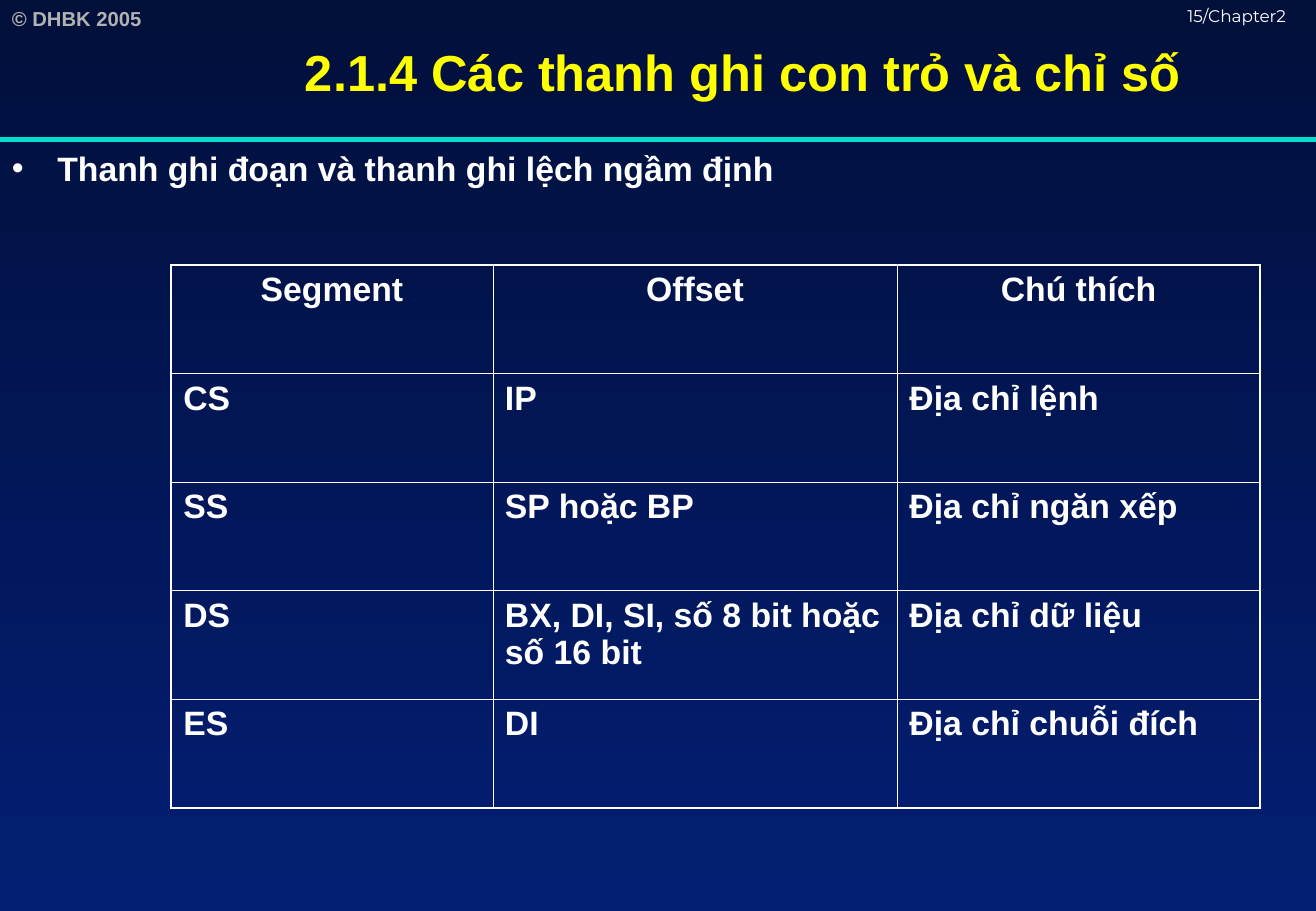
from dataclasses import dataclass

from lxml import etree
from pptx import Presentation
from pptx import util as u
from pptx.dml import color
from pptx.enum import shapes, text
from pptx.oxml import ns

Cm, Pt = u.Cm, u.Pt
ALIGN = text.PP_ALIGN


@dataclass(frozen=True)
class Theme:
    sky_top: str = "010F3B"
    sky_bottom: str = "031E73"
    white: str = "FFFFFF"
    grey: str = "B2B2B2"
    yellow: str = "FFFF00"
    teal: str = "00DFCA"
    font: str = "Arial"
    number_font: str = "Montserrat"
    title: float = 30
    body: float = 20
    mark: float = 12
    number: float = 10
    rule: float = 3
    outer: float = 1.08
    inner: float = 0.45


T = Theme()
WIDTH, HEIGHT = 27.53, 19.05
COLUMNS = (6.73, 8.46, 7.59)
ROW_HEIGHT = 2.27
REGISTERS = (
    ("Segment", "Offset", "Chú thích"),
    ("CS", "IP", "Địa chỉ lệnh"),
    ("SS", "SP hoặc BP", "Địa chỉ ngăn xếp"),
    ("DS", "BX, DI, SI, số 8 bit hoặc số 16 bit", "Địa chỉ dữ liệu"),
    ("ES", "DI", "Địa chỉ chuỗi đích"),
)


def rgb(value):
    return color.RGBColor.from_string(value)


def add_xml(parent, tag, **attrs):
    return etree.SubElement(parent, ns.qn(tag), attrs)


def write(tf, words, *, size=T.body, fill=T.white, font=T.font, bold=True,
          align=ALIGN.LEFT, bullet=False):
    """Fill a text frame with one formatted paragraph."""
    tf.word_wrap = True
    p = tf.paragraphs[0]
    p.alignment = align
    if bullet:
        add_bullet(p)
    r = p.add_run()
    r.text = words
    r.font.name, r.font.size, r.font.bold = font, Pt(size), bold
    r.font.color.rgb = rgb(fill)


def add_bullet(p):
    pPr = p._p.get_or_add_pPr()
    hang = Cm(0.95)
    pPr.set("marL", str(hang))
    pPr.set("indent", str(-hang))
    add_xml(add_xml(pPr, "a:buClr"), "a:srgbClr", val=T.white)
    add_xml(pPr, "a:buFont", typeface=T.font)
    add_xml(pPr, "a:buChar", char="•")


def add_text(s, words, left, top, width, height, *,
             anchor=text.MSO_ANCHOR.TOP, **style):
    sp = s.shapes.add_textbox(Cm(left), Cm(top), Cm(width), Cm(height))
    sp.text_frame.vertical_anchor = anchor
    write(sp.text_frame, words, **style)


def add_rule(s, y):
    line = s.shapes.add_connector(shapes.MSO_CONNECTOR.STRAIGHT,
                                  0, Cm(y), Cm(WIDTH), Cm(y))
    line.line.color.rgb = rgb(T.teal)
    line.line.width = Pt(T.rule)
    add_xml(line._element.spPr, "a:effectLst")


def set_borders(cell, outer_sides):
    """Draw all four borders, heavier where the cell meets the table edge."""
    tcPr = cell._tc.get_or_add_tcPr()
    for side, outer in outer_sides.items():
        width = Pt(T.outer if outer else T.inner)
        ln = add_xml(tcPr, f"a:ln{side}", w=str(width))
        add_xml(add_xml(ln, "a:solidFill"), "a:srgbClr", val=T.white)


def add_grid(s, rows, left, top):
    n_rows, n_cols = len(rows), len(COLUMNS)
    table = s.shapes.add_table(n_rows, n_cols, Cm(left), Cm(top),
                               Cm(sum(COLUMNS)), Cm(ROW_HEIGHT * n_rows)).table
    table.first_row = table.horz_banding = False
    for column, width in zip(table.columns, COLUMNS):
        column.width = Cm(width)
    for i, row in enumerate(rows):
        table.rows[i].height = Cm(ROW_HEIGHT)
        for j, words in enumerate(row):
            cell = table.cell(i, j)
            set_borders(cell, {"L": j == 0, "R": j == n_cols - 1,
                               "T": i == 0, "B": i == n_rows - 1})
            cell.fill.background()
            write(cell.text_frame, words,
                  align=ALIGN.CENTER if i == 0 else ALIGN.LEFT)


def set_background(s):
    fill = s.background.fill
    fill.gradient()
    fill.gradient_angle = 270
    for stop, value in zip(fill.gradient_stops, (T.sky_top, T.sky_bottom)):
        stop.color.rgb = rgb(value)


def main():
    prs = Presentation()
    prs.slide_width, prs.slide_height = Cm(WIDTH), Cm(HEIGHT)
    s = prs.slides.add_slide(prs.slide_layouts[6])
    set_background(s)

    # Header strip
    add_text(s, "© DHBK 2005", 0, 0, 4, 0.77, size=T.mark, fill=T.grey)
    add_rule(s, 2.92)
    add_text(s, "15/Chapter2", 24.59, 0, 2.94, 0.64,
             size=T.number, font=T.number_font, bold=False)

    # Title and lead point
    add_text(s, "2.1.4 Các thanh ghi con trỏ và chỉ số", 3.58, 0, 23.95, 2.97,
             size=T.title, fill=T.yellow, align=ALIGN.CENTER,
             anchor=text.MSO_ANCHOR.MIDDLE)
    add_text(s, "Thanh ghi đoạn và thanh ghi lệch ngầm định",
             0, 2.97, WIDTH, 1.2, bullet=True)

    # Default segment and offset registers
    add_grid(s, REGISTERS, 3.58, 5.54)

    prs.save("out.pptx")


if __name__ == "__main__":
    main()
